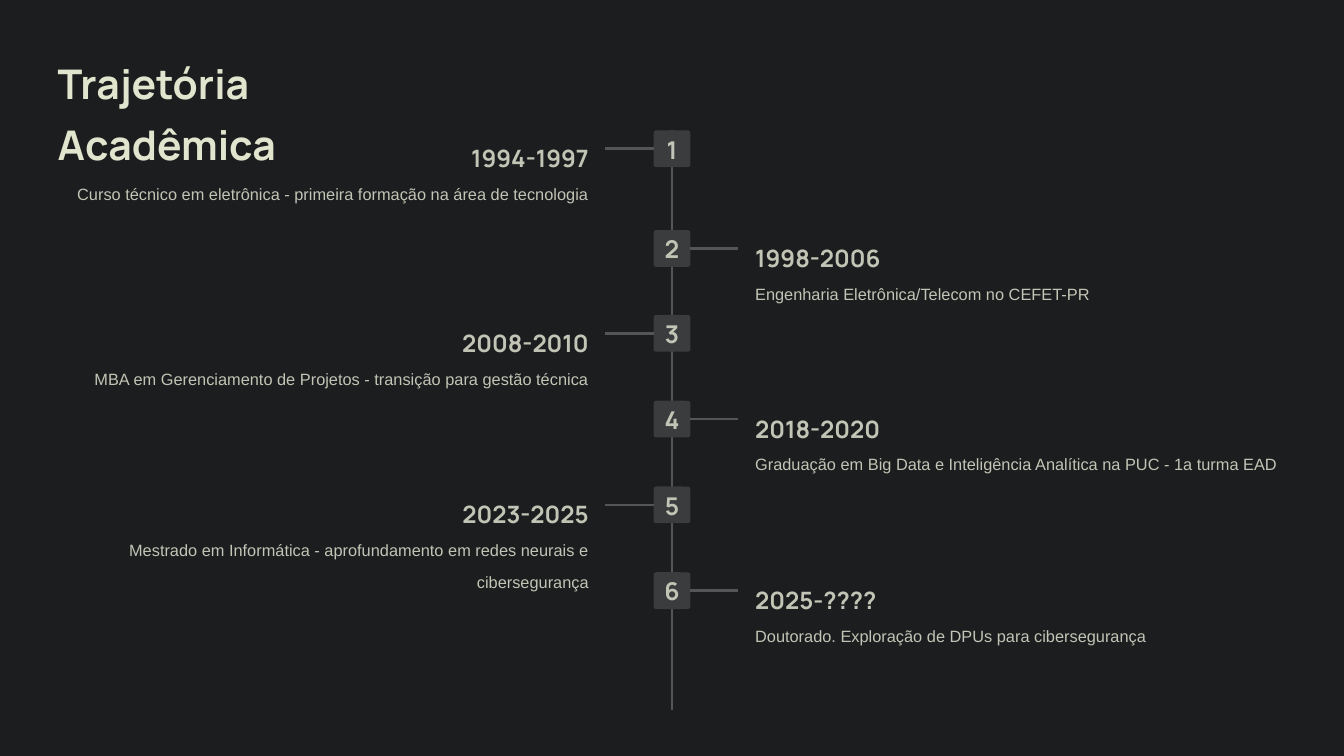
import pptx
import pptx.util
import pptx.dml.color
import pptx.enum.shapes
import pptx.enum.text
import pptx.oxml.ns
from dataclasses import dataclass
from lxml import etree

TITLE = "Trajetória Acadêmica"
STAGES = [
    (149, "1994-1997", "Curso técnico em eletrônica - primeira formação na área de tecnologia"),
    (263, "1998-2006", "Engenharia Eletrônica/Telecom no CEFET-PR"),
    (360, "2008-2010", "MBA em Gerenciamento de Projetos - transição para gestão técnica"),
    (458, "2018-2020", "Graduação em Big Data e Inteligência Analítica na PUC - 1a turma EAD"),
    (556, "2023-2025", "Mestrado em Informática - aprofundamento em redes neurais e cibersegurança"),
    (654, "2025-????", "Doutorado. Exploração de DPUs para cibersegurança"),
]


@dataclass(frozen=True)
class Theme:
    background: str = "1C1D1F"
    title: str = "E1E5CD"
    text: str = "C2C4B5"
    line: str = "545557"
    square: str = "3B3C3E"
    heading_font: str = "Manrope"
    body_font: str = "Arial"
    title_size: float = 35
    number_size: float = 21
    period_size: float = 20.5
    body_size: float = 14


THEME = Theme()
ALIGN = pptx.enum.text.PP_ALIGN
WIDTH, HEIGHT = 1536, 864
MARGIN, AXIS, SPINE_END = 66, 768, 811
SQUARE, ARM, TEXT_GAP, STROKE = 42, 55, 95, 3
PERIOD_WIDTH, BODY_WIDTH = 236, 607


def px(n):
    return pptx.util.Emu(round(n * 9525))


def rgb(color):
    return pptx.dml.color.RGBColor.from_string(color)


def put_text(sp, text, *, size, color=THEME.text, font=THEME.heading_font,
             bold=True, align=ALIGN.LEFT, spacing=None, top=0):
    tf = sp.text_frame
    tf.word_wrap = True
    tf.vertical_anchor = pptx.enum.text.MSO_ANCHOR.TOP
    tf.margin_left = tf.margin_right = tf.margin_bottom = 0
    tf.margin_top = px(top)
    p = tf.paragraphs[0]
    p.alignment = align
    if spacing:
        p.line_spacing = spacing
    r = p.add_run()
    r.text = text
    r.font.size = pptx.util.Pt(size)
    r.font.name = font
    r.font.bold = bold
    r.font.color.rgb = rgb(color)


def add_box(s, x, y, w, h):
    return s.shapes.add_textbox(px(x), px(y), px(w), px(h))


def add_line(s, x1, y1, x2, y2):
    line = s.shapes.add_connector(
        pptx.enum.shapes.MSO_CONNECTOR.STRAIGHT, px(x1), px(y1), px(x2), px(y2))
    line.line.color.rgb = rgb(THEME.line)
    line.line.width = px(STROKE)
    etree.SubElement(line._element.spPr, pptx.oxml.ns.qn("a:effectLst"))
    return line


def add_square(s, top, number):
    sp = s.shapes.add_shape(
        pptx.enum.shapes.MSO_SHAPE.ROUNDED_RECTANGLE,
        px(AXIS - SQUARE / 2), px(top), px(SQUARE), px(SQUARE))
    sp.adjustments[0] = 0.07
    sp.shadow.inherit = False
    sp.fill.solid()
    sp.fill.fore_color.rgb = rgb(THEME.square)
    sp.line.fill.background()
    put_text(sp, str(number), size=THEME.number_size, align=ALIGN.CENTER, top=4)
    return sp


def add_stage(s, number, top, period, body):
    side = -1 if number % 2 else 1
    align = ALIGN.RIGHT if side < 0 else ALIGN.LEFT
    sp = add_square(s, top, number)
    start, y = AXIS + side * SQUARE / 2, top + SQUARE / 2
    arm = add_line(s, start, y, start + side * ARM, y)
    arm.begin_connect(sp, 1 if side < 0 else 3)

    edge = AXIS + side * TEXT_GAP

    def left(width):
        return edge - width if side < 0 else edge

    put_text(add_box(s, left(PERIOD_WIDTH), top + 7, PERIOD_WIDTH, 30), period,
             size=THEME.period_size, align=align, spacing=1.26)
    put_text(add_box(s, left(BODY_WIDTH), top + 48, BODY_WIDTH, 60), body,
             size=THEME.body_size, font=THEME.body_font, bold=False,
             align=align, spacing=1.61)


def main():
    prs = pptx.Presentation()
    prs.slide_width, prs.slide_height = px(WIDTH), px(HEIGHT)
    s = prs.slides.add_slide(prs.slide_layouts[6])
    s.background.fill.solid()
    s.background.fill.fore_color.rgb = rgb(THEME.background)
    put_text(add_box(s, MARGIN, 52, 473, 60), TITLE,
             size=THEME.title_size, color=THEME.title, spacing=1.26)
    add_line(s, AXIS, STAGES[0][0], AXIS, SPINE_END)
    for number, stage in enumerate(STAGES, 1):
        add_stage(s, number, *stage)
    prs.save("out.pptx")


if __name__ == "__main__":
    main()
